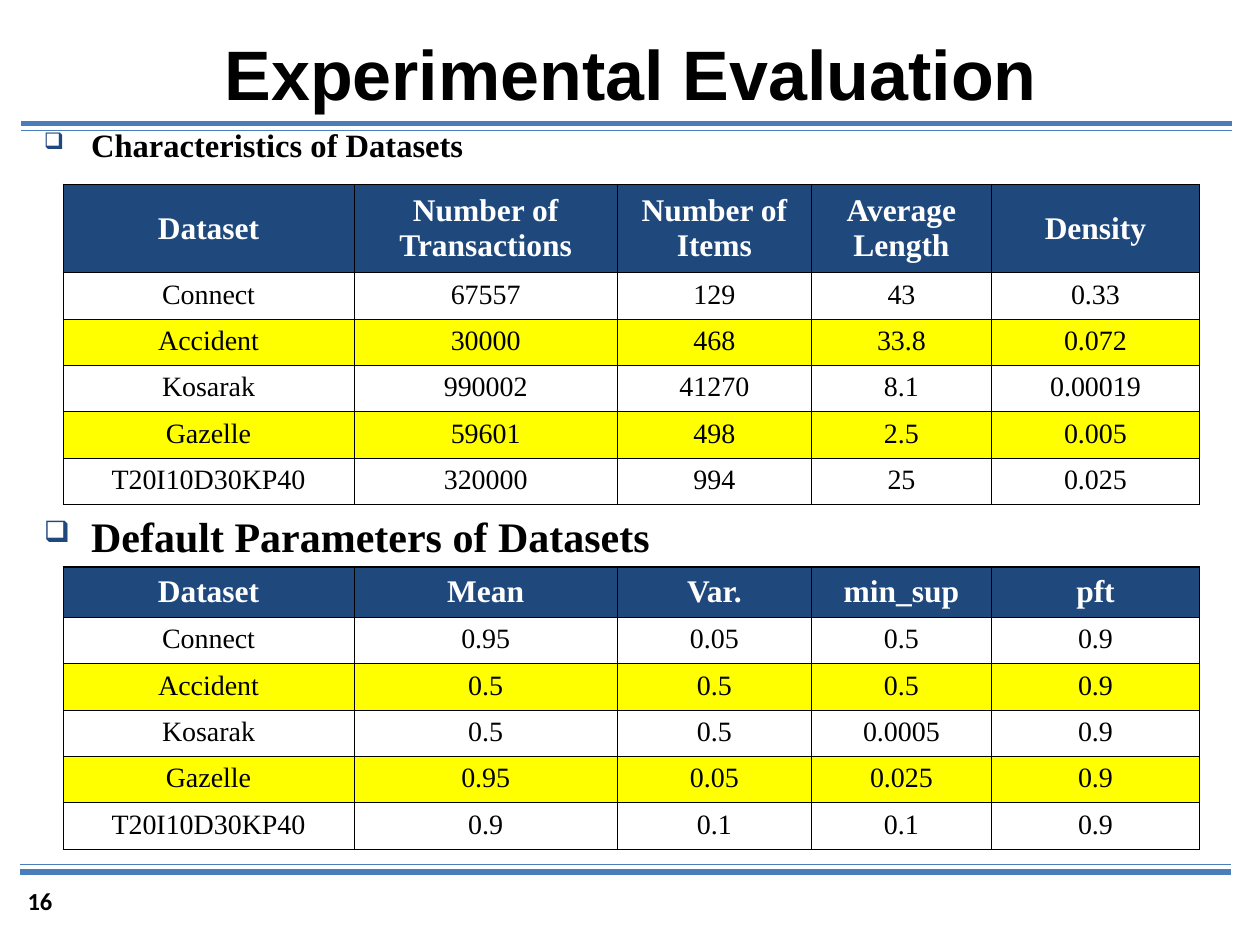
from dataclasses import dataclass
from itertools import accumulate

from lxml import etree
from pptx import Presentation
from pptx import util as u
from pptx.dml.color import RGBColor
from pptx.enum import shapes, text
from pptx.oxml.ns import qn

COLUMNS, ROWS = 100, 75
PAGE_WIDTH, PAGE_HEIGHT = u.Inches(10), u.Inches(7.5)
BLACK, WHITE, NAVY, YELLOW, BLUE = "000000", "FFFFFF", "1F497D", "FFFF00", "4A7EBB"
SERIF = "Times New Roman"
TABLE_COLUMNS = (23.1, 20.9, 15.4, 14.3, 16.5)
BODY_ROW = 3.68
THIN, THICK = 0.45, 1.08


@dataclass(frozen=True)
class Rule:
    """A horizontal line across the page, in grid units."""
    left: float
    right: float
    top: float
    weight: float


@dataclass(frozen=True)
class Section:
    """A bulleted heading with the table below it, in grid units."""
    heading: str
    heading_top: float
    heading_size: float
    line_spacing: float
    table_top: float
    header_height: float
    header: tuple[str, ...]
    body: tuple[tuple[str, ...], ...]


RULES = (
    Rule(1.7, 97.8, 9.8, 3),
    Rule(1.7, 97.8, 10.35, 0.75),
    Rule(1.6, 97.7, 69.2, 3),
    Rule(1.6, 97.7, 68.6, 0.75),
)

SECTIONS = (
    Section(
        "Characteristics of Datasets", 10, 18.6, 0.8, 14.65, 7,
        ("Dataset", "Number of Transactions", "Number of Items", "Average Length", "Density"),
        (
            ("Connect", "67557", "129", "43", "0.33"),
            ("Accident", "30000", "468", "33.8", "0.072"),
            ("Kosarak", "990002", "41270", "8.1", "0.00019"),
            ("Gazelle", "59601", "498", "2.5", "0.005"),
            ("T20I10D30KP40", "320000", "994", "25", "0.025"),
        ),
    ),
    Section(
        "Default Parameters of Datasets", 40, 24, 1.0, 45, 4,
        ("Dataset", "Mean", "Var.", "min_sup", "pft"),
        (
            ("Connect", "0.95", "0.05", "0.5", "0.9"),
            ("Accident", "0.5", "0.5", "0.5", "0.9"),
            ("Kosarak", "0.5", "0.5", "0.0005", "0.9"),
            ("Gazelle", "0.95", "0.05", "0.025", "0.9"),
            ("T20I10D30KP40", "0.9", "0.1", "0.1", "0.9"),
        ),
    ),
)


def across(columns: float) -> int:
    """Turn grid columns into a length."""
    return round(PAGE_WIDTH * columns / COLUMNS)


def down(rows: float) -> int:
    """Turn grid rows into a length."""
    return round(PAGE_HEIGHT * rows / ROWS)


def colour(value: str) -> RGBColor:
    """Turn a hex string into a colour."""
    return RGBColor.from_string(value)


def write(frame, words: str, *, size: float, font: str = SERIF, ink: str = BLACK,
          bold: bool = True, align=text.PP_ALIGN.LEFT, spacing: float = 1.0,
          bullet: str = "") -> None:
    """Put one formatted paragraph into a text frame."""
    frame.word_wrap = True
    para = frame.paragraphs[0]
    if bullet:
        add_bullet(para, bullet)
    para.alignment = align
    para.line_spacing = spacing
    span = para.add_run()
    span.text = words
    span.font.name = font
    span.font.size = u.Pt(size)
    span.font.bold = bold
    span.font.color.rgb = colour(ink)


def add_bullet(para, mark: str) -> None:
    """Give a paragraph a hanging navy bullet."""
    props = para._p.get_or_add_pPr()
    props.set("marL", str(across(3.75)))
    props.set("indent", str(-across(3.75)))
    tint = etree.SubElement(props, qn("a:buClr"))
    etree.SubElement(tint, qn("a:srgbClr"), val=NAVY)
    etree.SubElement(props, qn("a:buSzPct"), val="70000")
    etree.SubElement(props, qn("a:buChar"), char=mark)


def add_text(page, words: str, left: float, top: float, width: float, height: float,
             anchor=text.MSO_ANCHOR.TOP, **style) -> None:
    """Place a text box on the grid."""
    box = page.shapes.add_textbox(across(left), down(top), across(width), down(height))
    box.text_frame.vertical_anchor = anchor
    write(box.text_frame, words, **style)


def add_rule(page, rule: Rule) -> None:
    """Draw one horizontal rule."""
    line = page.shapes.add_connector(
        shapes.MSO_CONNECTOR.STRAIGHT,
        across(rule.left), down(rule.top), across(rule.right), down(rule.top))
    line.line.color.rgb = colour(BLUE)
    line.line.width = u.Pt(rule.weight)
    etree.SubElement(line._element.spPr, qn("a:effectLst"))


def add_borders(cell, **weights: float) -> None:
    """Outline a cell with black lines, one weight for each side."""
    props = cell._tc.get_or_add_tcPr()
    for side, weight in weights.items():
        edge = etree.SubElement(props, qn(f"a:ln{side}"), w=str(u.Pt(weight)))
        fill = etree.SubElement(edge, qn("a:solidFill"))
        etree.SubElement(fill, qn("a:srgbClr"), val=BLACK)


def fill_cell(cell, words: str, row: int, last: bool) -> None:
    """Format a cell by its place in the table."""
    is_header = row == 0
    add_borders(cell, L=THIN, R=THICK if last else THIN, T=THICK if is_header else THIN, B=THIN)
    cell.fill.solid()
    shade = NAVY if is_header else (WHITE, YELLOW)[row % 2 == 0]
    cell.fill.fore_color.rgb = colour(shade)
    cell.vertical_anchor = text.MSO_ANCHOR.MIDDLE if is_header else text.MSO_ANCHOR.TOP
    write(cell.text_frame, words, size=18 if is_header else 16, bold=is_header,
          ink=WHITE if is_header else BLACK, align=text.PP_ALIGN.CENTER)


def add_section(page, section: Section) -> None:
    """Place a heading and its table."""
    add_text(page, section.heading, 2.5, section.heading_top, 95, 4.2,
             size=section.heading_size, spacing=section.line_spacing, bullet="❑")
    records = (section.header, *section.body)
    heights = (section.header_height, *(BODY_ROW for _ in section.body))
    *_, width = accumulate(TABLE_COLUMNS)
    table = page.shapes.add_table(
        len(records), len(TABLE_COLUMNS), across(5), down(section.table_top),
        across(width), down(sum(heights))).table
    table.horz_banding = table.first_row = False
    for column, share in zip(table.columns, TABLE_COLUMNS):
        column.width = across(share)
    for row, (record, height) in enumerate(zip(records, heights)):
        table.rows[row].height = down(height)
        for column, words in enumerate(record):
            fill_cell(table.cell(row, column), words, row, column == len(record) - 1)


def main() -> None:
    """Build the slide and save it."""
    deck = Presentation()
    deck.slide_width, deck.slide_height = PAGE_WIDTH, PAGE_HEIGHT
    page = deck.slides.add_slide(deck.slide_layouts[6])
    for rule in RULES:
        add_rule(page, rule)
    add_text(page, "Experimental Evaluation", 9.2, 1.8, 81.7, 7.9, text.MSO_ANCHOR.MIDDLE,
             size=40, font="Arial", align=text.PP_ALIGN.CENTER)
    for section in SECTIONS:
        add_section(page, section)
    add_text(page, "16", 1.2, 69.8, 10.2, 4, size=14, font="Calibri")
    deck.save("out.pptx")


if __name__ == "__main__":
    main()
